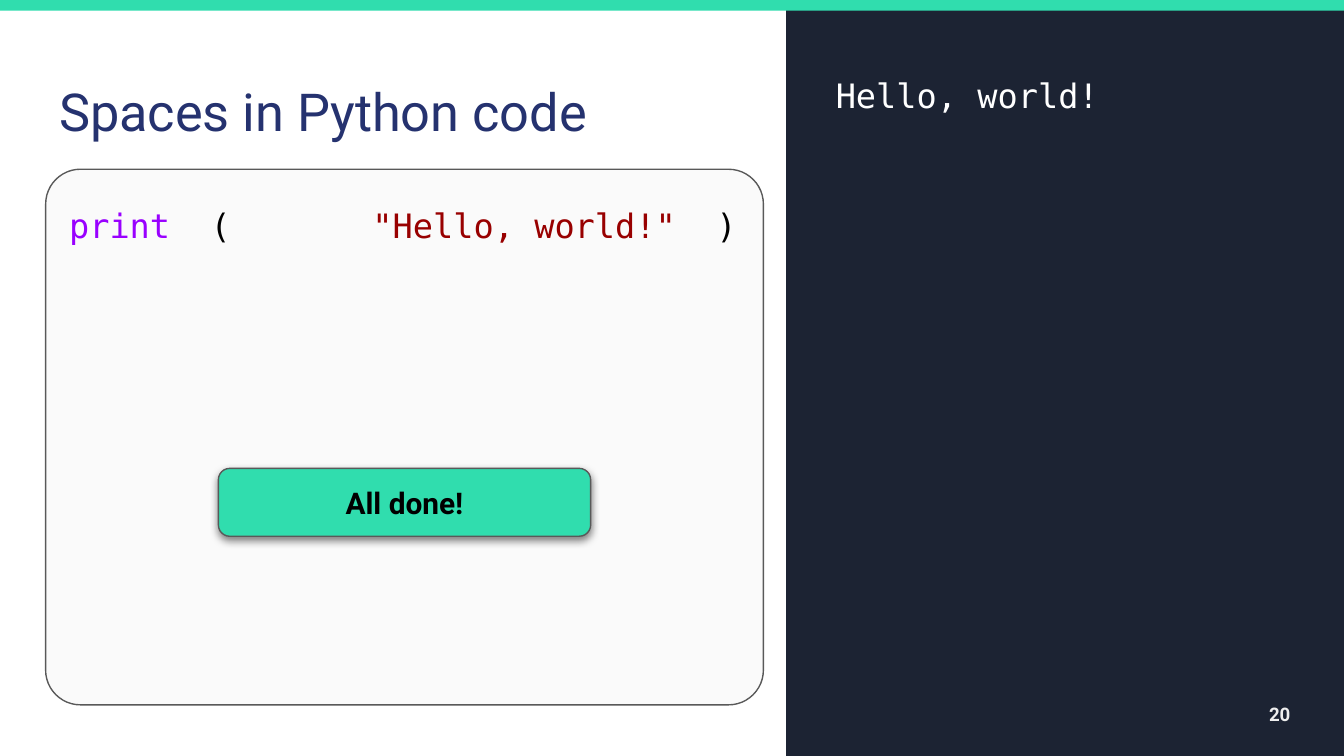
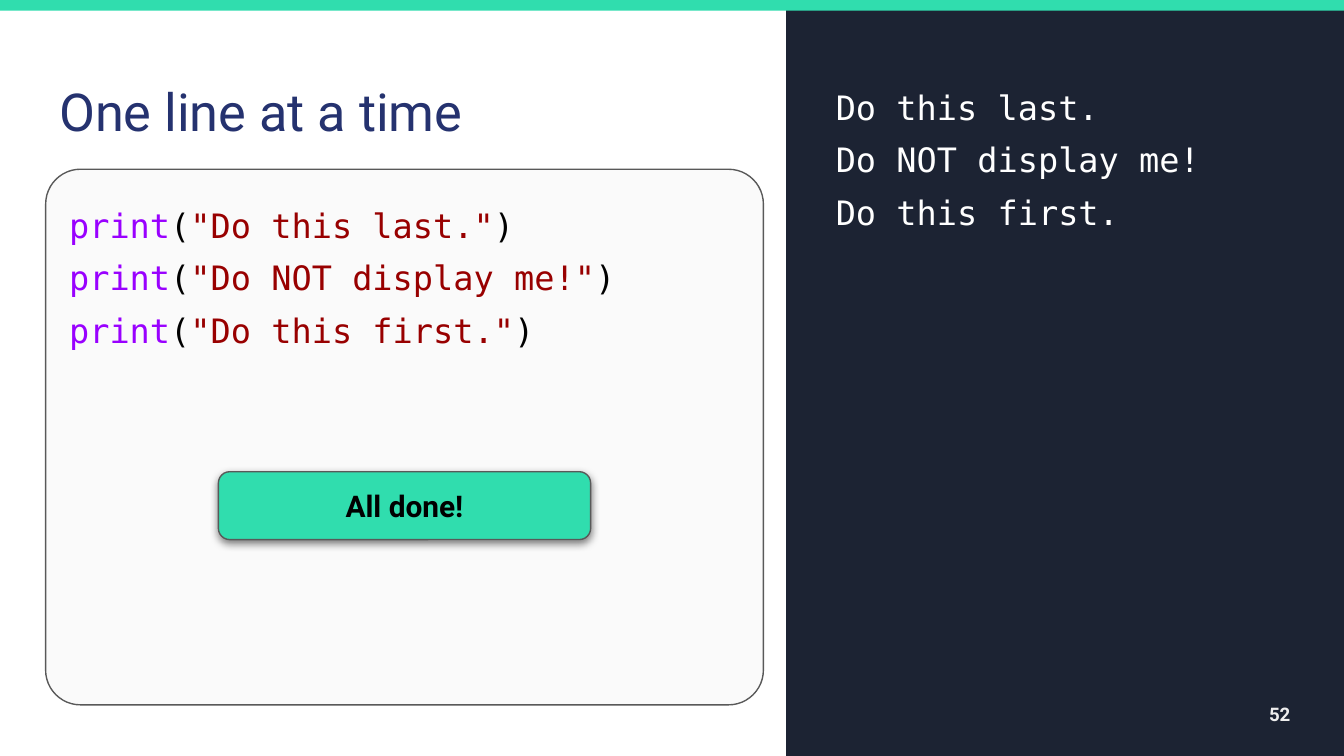
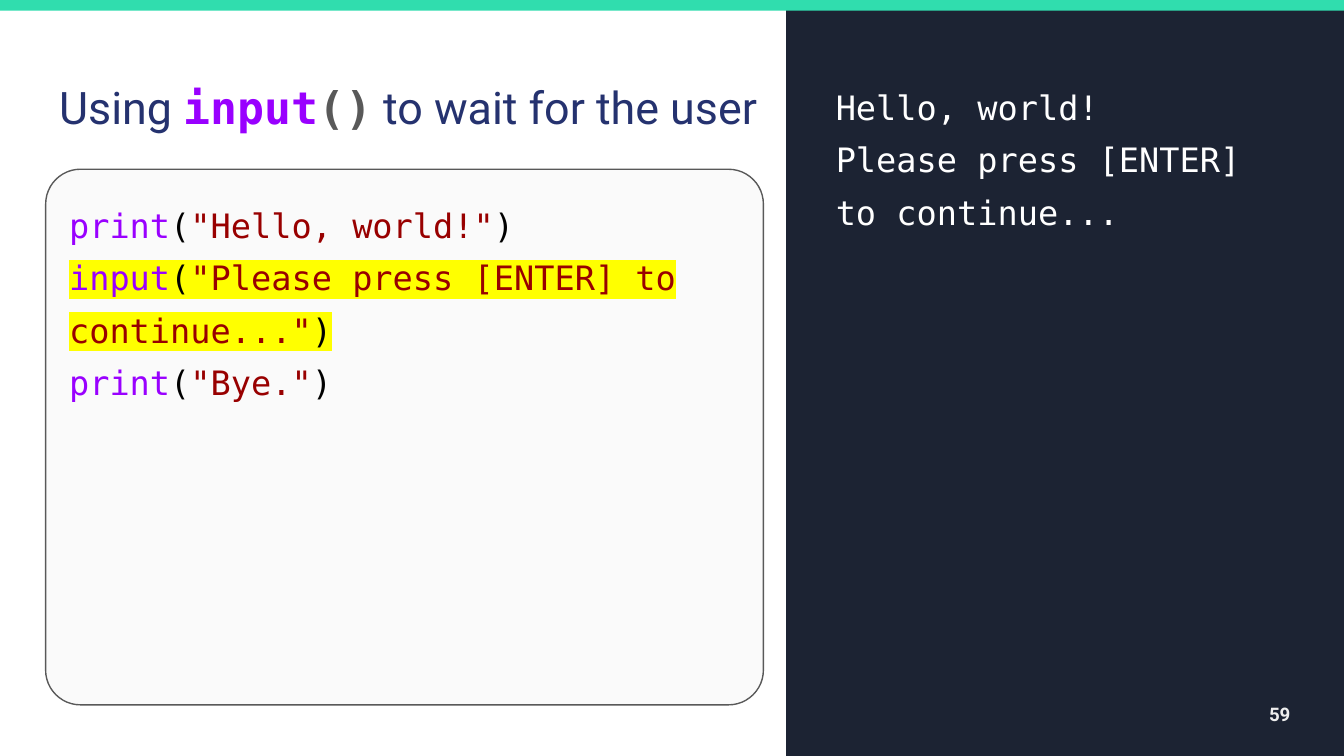
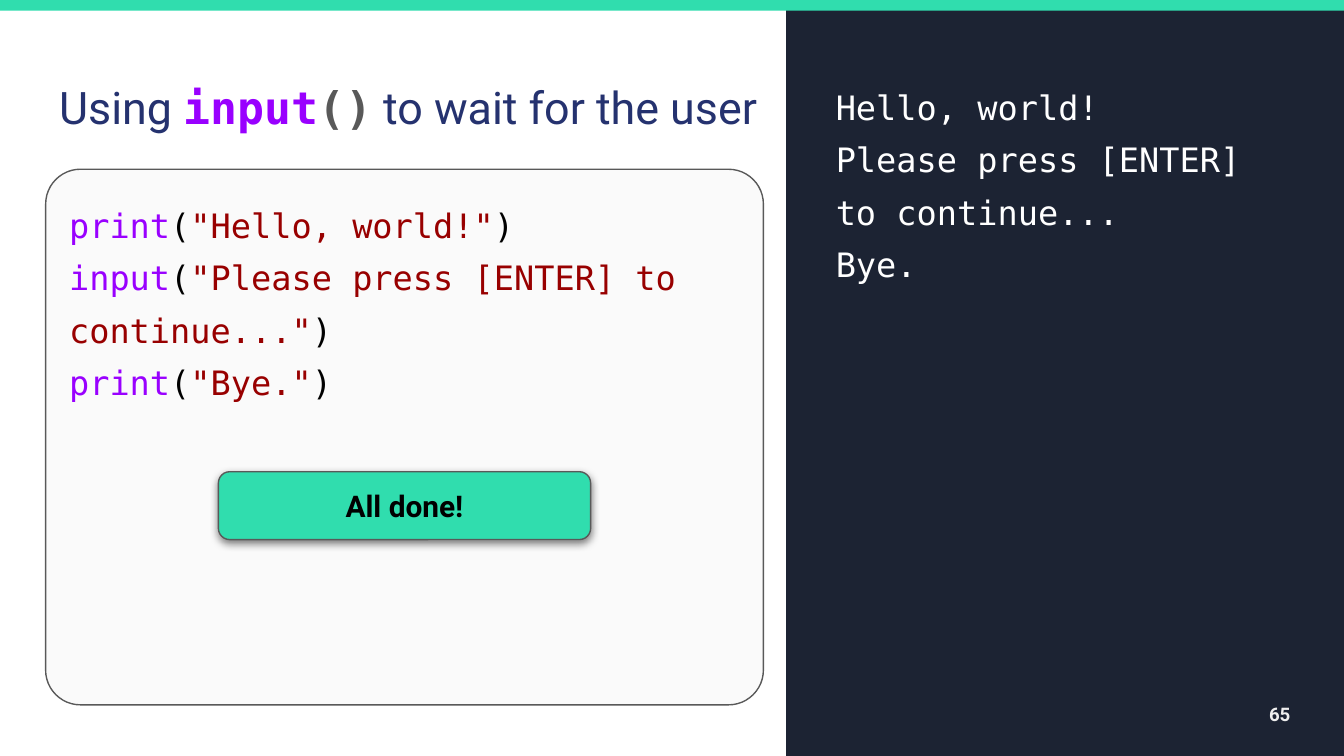
from lxml import etree
from pptx import Presentation
from pptx.dml.color import RGBColor
from pptx.enum import shapes, text
from pptx.oxml import ns
from pptx.util import Pt

PX = 4572  # 200 px to the inch
WIDTH, HEIGHT = 2000, 1125

WHITE = RGBColor(0xFF, 0xFF, 0xFF)
BLACK = RGBColor(0, 0, 0)
NAVY = RGBColor(0x25, 0x32, 0x6F)
NIGHT = RGBColor(0x1C, 0x23, 0x33)
MINT = RGBColor(0x30, 0xDD, 0xAE)
PAPER = RGBColor(0xFA, 0xFA, 0xFA)
GREY = RGBColor(0x59, 0x59, 0x59)
PALE = RGBColor(0xEE, 0xEE, 0xEE)
PURPLE = RGBColor(0x99, 0x00, 0xFF)
MAROON = RGBColor(0x98, 0x00, 0x00)
YELLOW = RGBColor(0xFF, 0xFF, 0x00)

SANS, MONO = "Roboto", "DejaVu Sans Mono"
CODE_COLOURS = (PURPLE, BLACK, MAROON, BLACK)

HELLO = ("print", "(", '"Hello, world!"', ")")
PAUSE = ("input", "(", '"Please press [ENTER] to continue..."', ")")
BYE = ("print", "(", '"Bye."', ")")
ORDERS = ["Do this last.", "Do NOT display me!", "Do this first."]
PROMPT = ["Hello, world!", "Please press [ENTER] to continue..."]
INPUT_TITLE = [("Using ", SANS, NAVY), ("input", MONO, PURPLE), ("()", MONO, GREY),
               (" to wait for the user", SANS, NAVY)]

# number, title runs, title size, title width, code, highlighted line, output,
# output line spacing, top of the "All done!" button
LESSONS = [
    ("20", [("Spaces in Python code", SANS, NAVY)], 28, 1068,
     [("print  ", "(       ", '"Hello, world!"  ', ")")], None,
     ["Hello, world!"], 1.0, 697),
    ("52", [("One line at a time", SANS, NAVY)], 28, 1068,
     [("print", "(", f'"{order}"', ")") for order in ORDERS], None,
     ORDERS, 1.3, 702),
    ("59", INPUT_TITLE, 24, 1140, [HELLO, PAUSE, BYE], PAUSE, PROMPT, 1.3, None),
    ("65", INPUT_TITLE, 24, 1140, [HELLO, PAUSE, BYE], None, PROMPT + ["Bye."], 1.3, 702),
]


def add_panel(slide, box, fill, corner=None):
    """Add a plain rectangle, or an outlined rounded one if corner is given."""
    kind = shapes.MSO_SHAPE.ROUNDED_RECTANGLE if corner else shapes.MSO_SHAPE.RECTANGLE
    panel = slide.shapes.add_shape(kind, *(n * PX for n in box))
    panel.shadow.inherit = False
    panel.fill.solid()
    panel.fill.fore_color.rgb = fill
    if corner:
        panel.adjustments[0] = corner
        panel.line.color.rgb = GREY
        panel.line.width = Pt(0.75)
    else:
        panel.line.fill.background()
    return panel


def write(shape, lines, size, font, colour, bold=False, spacing=1.0,
          align=text.PP_ALIGN.LEFT, anchor=text.MSO_ANCHOR.TOP):
    """Fill a shape with one paragraph a line and return the paragraphs."""
    frame = shape.text_frame
    frame.word_wrap = True
    frame.auto_size = text.MSO_AUTO_SIZE.NONE
    frame.vertical_anchor = anchor
    frame.margin_left = frame.margin_right = 20 * PX
    frame.margin_top = frame.margin_bottom = 20 * PX
    frame.text = "\n".join(lines)
    for paragraph in frame.paragraphs:
        paragraph.alignment = align
        paragraph.line_spacing = spacing
        paragraph.font.size = Pt(size)
        paragraph.font.name = font
        paragraph.font.bold = bold
        paragraph.font.color.rgb = colour
    return frame.paragraphs


deck = Presentation()
deck.slide_width, deck.slide_height = WIDTH * PX, HEIGHT * PX

for (number, title_runs, title_size, title_width, code, highlighted,
     output, output_spacing, done_top) in LESSONS:
    slide = deck.slides.add_slide(deck.slide_layouts[5])

    add_panel(slide, (1170, 0, 832, 1128), NIGHT)
    add_panel(slide, (-2, 0, 2004, 16), MINT)

    title = slide.shapes.title
    title.left, title.top = 68 * PX, 98 * PX
    title.width, title.height = title_width * PX, 126 * PX
    heading = write(title, [""], title_size, SANS, NAVY)[0]
    for words, font, colour in title_runs:
        run = heading.add_run()
        run.text = words
        run.font.name = font
        run.font.bold = font == MONO
        run.font.color.rgb = colour

    page = slide.shapes.add_textbox(1820 * PX, 1020 * PX, 120 * PX, 86 * PX)
    write(page, [number], 10, SANS, PALE, bold=True,
          align=text.PP_ALIGN.RIGHT, anchor=text.MSO_ANCHOR.MIDDLE)

    editor = add_panel(slide, (68, 252, 1068, 797), PAPER, corner=0.065)
    code_lines = write(editor, [""] * len(code), 18, MONO, BLACK, spacing=1.3)
    for paragraph, tokens in zip(code_lines, code):
        for token, colour in zip(tokens, CODE_COLOURS):
            run = paragraph.add_run()
            run.text = token
            run.font.color.rgb = colour
            if tokens == highlighted:
                marker = etree.SubElement(run.font._element, ns.qn("a:highlight"))
                etree.SubElement(marker, ns.qn("a:srgbClr"), val=str(YELLOW))

    console = slide.shapes.add_textbox(1224 * PX, 91 * PX, 716 * PX, 796 * PX)
    write(console, output, 18, MONO, WHITE, spacing=output_spacing)

    if done_top:
        done = add_panel(slide, (325, done_top, 554, 101), MINT, corner=0.167)
        write(done, ["All done!"], 16, SANS, BLACK, bold=True,
              align=text.PP_ALIGN.CENTER, anchor=text.MSO_ANCHOR.MIDDLE)
        effects = done._element.spPr.find(ns.qn("a:effectLst"))
        shadow = etree.SubElement(effects, ns.qn("a:outerShdw"), blurRad=str(Pt(4.5)),
                                  dist=str(Pt(1.5)), dir="5400000", algn="bl",
                                  rotWithShape="0")
        shade = etree.SubElement(shadow, ns.qn("a:srgbClr"), val=str(BLACK))
        etree.SubElement(shade, ns.qn("a:alpha"), val="50000")

deck.save("out.pptx")
